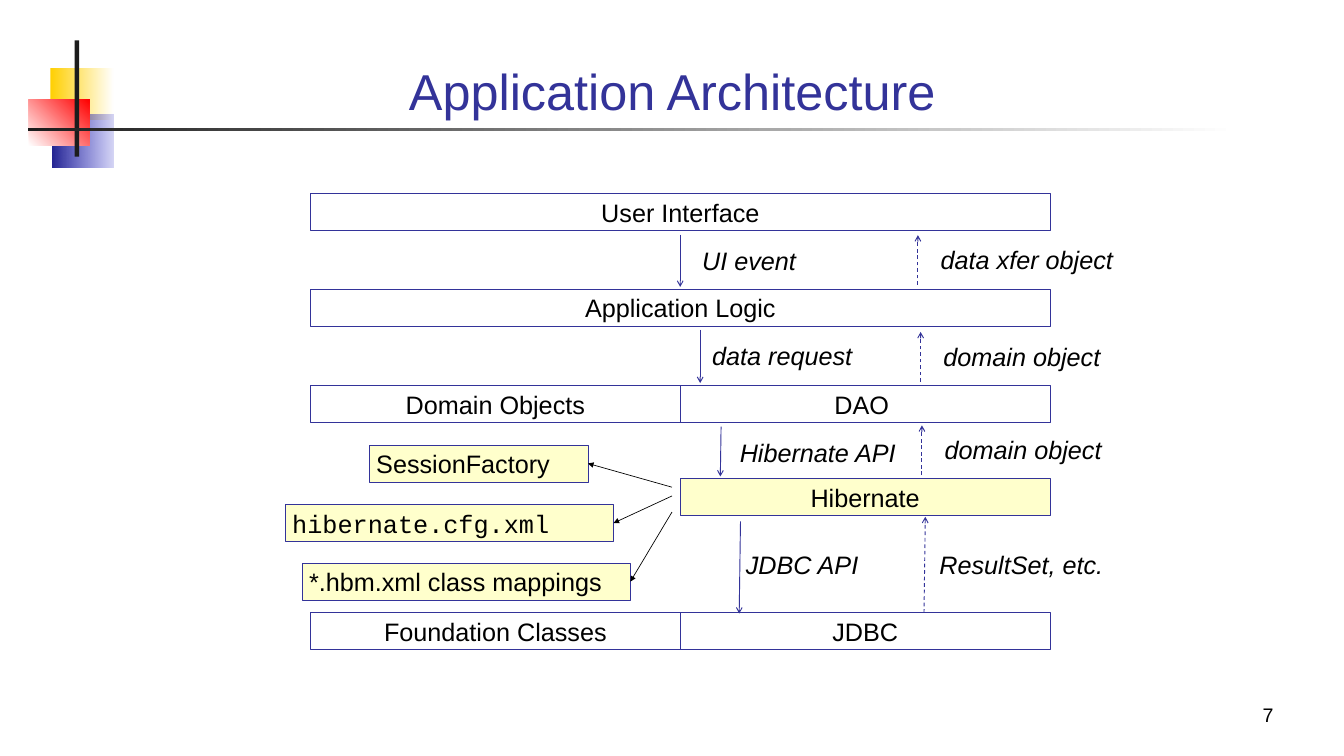
"""Builds the Application Architecture slide: layers, the calls between them and their results."""
from dataclasses import dataclass

from lxml import etree
from pptx import Presentation
from pptx import util as u
from pptx.dml import color
from pptx.enum import dml, shapes, text
from pptx.oxml import ns


@dataclass(frozen=True)
class Theme:
    navy: str = "333399"
    black: str = "000000"
    white: str = "FFFFFF"
    charcoal: str = "1C1C1C"
    cream: str = "FFFFCC"
    gold: str = "FFCF01"
    red: str = "FF0000"
    indigo: str = "242492"
    blue: str = "3333CC"
    font: str = "Arial"
    code_font: str = "Courier New"
    title_size: float = 54
    body_size: float = 27
    number_size: float = 21
    outline: float = 0.75
    flow_line: float = 1


THEME = Theme()
LEFT, MIDDLE, HALF, FULL, HEIGHT = 332.6, 728.8, 396.4, 792.7, 39.6
ROWS = {"interface": 207.4, "logic": 309.6, "data": 413.2, "hibernate": 512.8, "foundation": 656.6}
LAYERS = [
    ("User Interface", LEFT, "interface", FULL, None),
    ("Application Logic", LEFT, "logic", FULL, None),
    ("Domain Objects", LEFT, "data", HALF, None),
    ("DAO ", MIDDLE, "data", HALF, None),
    ("Hibernate", MIDDLE, "hibernate", HALF, THEME.cream),
    ("Foundation Classes", LEFT, "foundation", HALF, None),
    ("JDBC", MIDDLE, "foundation", HALF, None),
]
CALLS = [
    ("UI event", (728.8, 251.3), (728.8, 307.4), (745.2, 259.2)),
    ("data request", (750.2, 353.5), (750.2, 410.4), (756, 361.4)),
    ("Hibernate API", (772.6, 457.2), (771.8, 510.5), (785.5, 465.1)),
    ("JDBC API", (793.4, 558.7), (792, 657.4), (792, 584.6)),
]
RESULTS = [
    ("data xfer object", (983.5, 305.3), (983.5, 252), (1000.8, 258.5)),
    ("domain object", (986.4, 409), (986.4, 355.7), (1003.7, 362.2)),
    ("domain object", (987.8, 509), (987.8, 455.8), (1005.1, 462.2)),
    ("ResultSet, etc.", (990, 656.6), (991.4, 553.7), (999.4, 584.6)),
]
RESOURCES = [
    ("SessionFactory", (396, 476.8), 234, THEME.font, (720, 522)),
    ("hibernate.cfg.xml", (306, 540.6), 351.4, THEME.code_font, (720, 531.4)),
    ("*.hbm.xml class mappings", (324, 603.4), 351.4, THEME.font, (720, 548.6)),
]
ORNAMENTS = [
    ((54, 72.7, 67.7, 56.2), (THEME.gold, THEME.white), 0, None),
    ((56.2, 123.1, 65.5, 56.2), (THEME.indigo, THEME.blue), 0, 20),
    ((31, 106.6, 64.8, 49.7), (THEME.white, THEME.red), 45, None),
    ((79.9, 43.2, 5, 124.6), (THEME.charcoal,), 0, None),
    ((29.5, 136.8, 1295.3, 3.6), (THEME.charcoal, THEME.white), 0, None),
]


def rgb(value):
    """Turns a hex string into a colour."""
    return color.RGBColor.from_string(value)


def points(*lengths):
    """Turns numbers into point lengths."""
    return [u.Pt(length) for length in lengths]


def apply(target, values):
    """Sets attributes from a dict of format values."""
    for name, value in values.items():
        setattr(target, name, value)


def write(shape, words, align=text.PP_ALIGN.LEFT, anchor=text.MSO_ANCHOR.MIDDLE,
          ink=THEME.black, **font):
    """Writes one formatted paragraph into a shape."""
    apply(shape.text_frame, {"word_wrap": True, "vertical_anchor": anchor})
    paragraph = shape.text_frame.paragraphs[0]
    paragraph.alignment = align
    run = paragraph.add_run()
    run.text = words
    apply(run.font, {"name": THEME.font, "size": u.Pt(THEME.body_size), **font})
    run.font.color.rgb = rgb(ink)


def add_text(slide, box, words, **format_values):
    """Adds a text box."""
    write(slide.shapes.add_textbox(*points(*box)), words, **format_values)


def add_rectangle(slide, box):
    """Adds a rectangle without shadow."""
    shape = slide.shapes.add_shape(shapes.MSO_SHAPE.RECTANGLE, *points(*box))
    shape.shadow.inherit = False
    return shape


def add_ornament(slide, box, colours, angle, opacity):
    """Adds a solid or gradient block without outline."""
    shape = add_rectangle(slide, box)
    shape.line.fill.background()
    if len(colours) == 1:
        shape.fill.solid()
        shape.fill.fore_color.rgb = rgb(colours[0])
        return
    shape.fill.gradient()
    if angle:
        shape.fill.gradient_angle = angle
    else:
        shape.fill.gradient_angle = 0
    for stop, position, colour in zip(shape.fill.gradient_stops, (0, 1), colours):
        stop.position = position
        stop.color.rgb = rgb(colour)
    if opacity is not None:
        last = list(shape.element.spPr.iter(ns.qn("a:srgbClr")))[-1]
        etree.SubElement(last, ns.qn("a:alpha"), val=str(opacity * 1000))


def add_box(slide, box, words, fill, **format_values):
    """Adds an outlined box with text."""
    shape = add_rectangle(slide, box)
    if fill:
        shape.fill.solid()
        shape.fill.fore_color.rgb = rgb(fill)
    else:
        shape.fill.background()
    shape.line.color.rgb = rgb(THEME.navy)
    shape.line.width = u.Pt(THEME.outline)
    write(shape, words, **format_values)
    return shape


def add_arrow(slide, start, end, ink, width, head, dash=None):
    """Adds a straight arrow."""
    connector = slide.shapes.add_connector(shapes.MSO_CONNECTOR.STRAIGHT, *points(*start, *end))
    connector.line.color.rgb = rgb(ink)
    apply(connector.line, {"width": u.Pt(width), "dash_style": dash})
    properties = connector.element.spPr
    etree.SubElement(properties.find(ns.qn("a:ln")), ns.qn("a:tailEnd"), type=head)
    etree.SubElement(properties, ns.qn("a:effectLst"))
    return connector


def add_flow(slide, words, start, end, corner, dash=None):
    """Adds a flow arrow and its italic label."""
    add_arrow(slide, start, end, THEME.navy, THEME.flow_line, "arrow", dash)
    add_text(slide, (*corner, 217.4, HEIGHT), words, italic=True)


def add_resource(slide, words, corner, width, font, start):
    """Adds a resource box with an arrow joined to its right side."""
    box = add_box(slide, (*corner, width, HEIGHT), words, THEME.cream, name=font)
    end = (corner[0] + width, corner[1] + HEIGHT / 2)
    arrow = add_arrow(slide, start, end, THEME.black, THEME.outline, "triangle")
    arrow.end_connect(box, 3)


def main():
    """Builds and saves the slide."""
    presentation = Presentation()
    apply(presentation, {"slide_width": u.Pt(1440), "slide_height": u.Pt(810)})
    slide = presentation.slides.add_slide(presentation.slide_layouts[6])
    for ornament in ORNAMENTS:
        add_ornament(slide, *ornament)
    add_text(slide, (96.5, 31, 1247.8, 102.2), "Application Architecture",
             align=text.PP_ALIGN.CENTER, anchor=text.MSO_ANCHOR.BOTTOM,
             ink=THEME.navy, size=u.Pt(THEME.title_size))
    for words, left, row, width, fill in LAYERS:
        add_box(slide, (left, ROWS[row], width, HEIGHT), words, fill, align=text.PP_ALIGN.CENTER)
    for call in CALLS:
        add_flow(slide, *call)
    for result in RESULTS:
        add_flow(slide, *result, dash=dml.MSO_LINE.DASH)
    for resource in RESOURCES:
        add_resource(slide, *resource)
    add_text(slide, (1071.4, 727.9, 300.2, 54), "7", align=text.PP_ALIGN.RIGHT,
             anchor=text.MSO_ANCHOR.BOTTOM, size=u.Pt(THEME.number_size))
    presentation.save("out.pptx")


if __name__ == "__main__":
    main()
